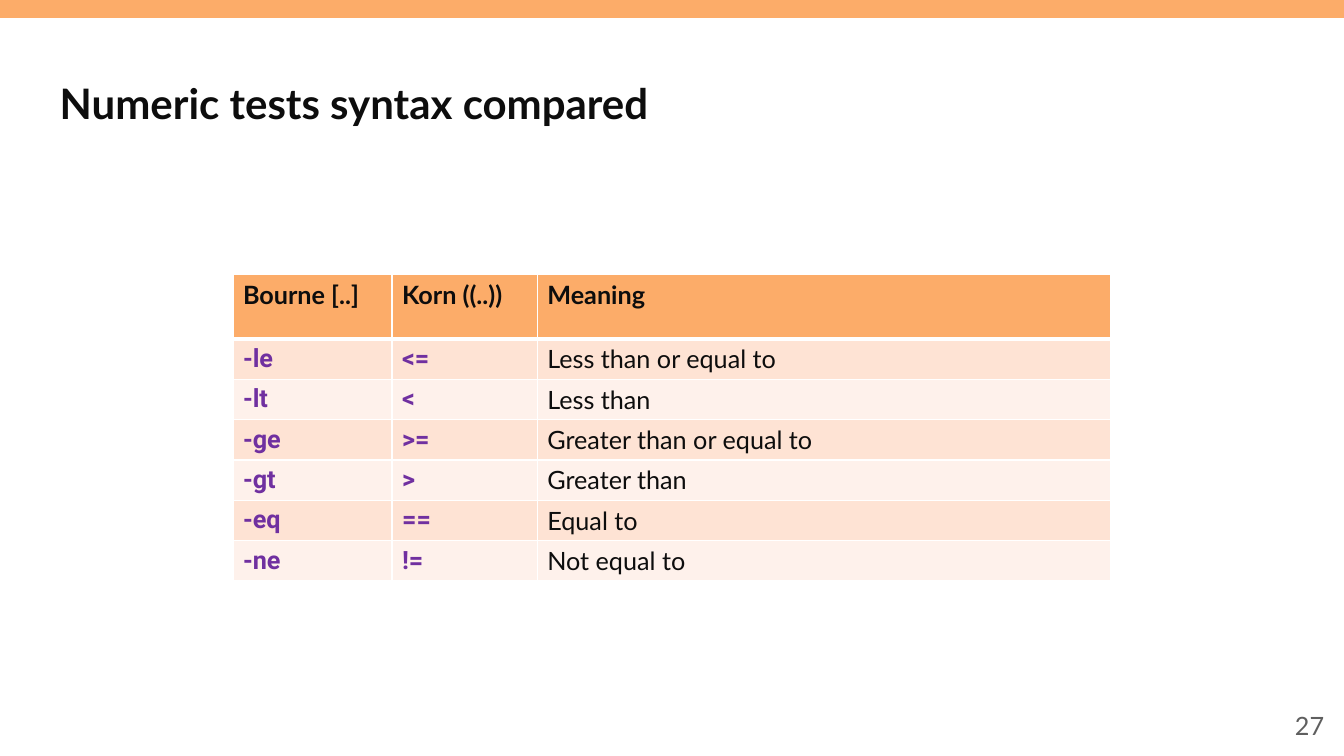
from lxml.etree import SubElement
from pptx import Presentation
from pptx.dml.color import RGBColor
from pptx.enum.shapes import MSO_SHAPE
from pptx.enum.text import MSO_ANCHOR, PP_ALIGN
from pptx.oxml.ns import qn
from pptx.util import Cm, Pt

TITLE = "Numeric tests syntax compared"
PAGE = "27"
ROWS = [
    ("Bourne [..]", "Korn ((..))", "Meaning"),
    ("-le", "<=", "Less than or equal to"),
    ("-lt", "<", "Less than"),
    ("-ge", ">=", "Greater than or equal to"),
    ("-gt", ">", "Greater than"),
    ("-eq", "==", "Equal to"),
    ("-ne", "!=", "Not equal to"),
]
COL_WIDTHS = [4.01, 3.66, 14.45]
HEADER_HEIGHT, ROW_HEIGHT = 1.62, 0.94
ORANGE, BANDS = "FCAC69", ("FEF1EB", "FEE3D4")
INK, PURPLE, GREY, WHITE = "0D0D0D", "7030A0", "5F5F5F", "FFFFFF"


def rgb(value):
    return RGBColor.from_string(value)


def paint(sp, color):
    sp.fill.solid()
    sp.fill.fore_color.rgb = rgb(color)


def write(tf, text, size, color, name="Lato", bold=False, align=PP_ALIGN.LEFT):
    tf.text = text
    p = tf.paragraphs[0]
    p.alignment = align
    font = p.runs[0].font
    font.name, font.size, font.bold = name, Pt(size), bold
    font.color.rgb = rgb(color)


def add_borders(cell, top, bottom):
    tcPr = cell._tc.get_or_add_tcPr()
    for side, width in (("L", 1), ("R", 1), ("T", top), ("B", bottom)):
        ln = SubElement(tcPr, qn("a:ln" + side), w=str(Pt(width)))
        fill = SubElement(ln, qn("a:solidFill"))
        SubElement(fill, qn("a:srgbClr"), val=WHITE)


prs = Presentation()
prs.slide_width, prs.slide_height = Cm(33.87), Cm(19.05)
s = prs.slides.add_slide(prs.slide_layouts[5])

bar = s.shapes.add_shape(MSO_SHAPE.RECTANGLE, 0, 0, prs.slide_width, Cm(0.45))
bar.shadow.inherit = False
bar.line.fill.background()
paint(bar, ORANGE)

title = s.shapes.title
title.left, title.top, title.width, title.height = Cm(1.25), Cm(1.4), Cm(31.4), Cm(2.4)
title.text_frame.vertical_anchor = MSO_ANCHOR.MIDDLE
write(title.text_frame, TITLE, 30, INK, bold=True)

page = s.shapes.add_textbox(Cm(26), Cm(17.78), Cm(7.62), Cm(1.02))
page.text_frame.word_wrap = True
page.text_frame.vertical_anchor = MSO_ANCHOR.MIDDLE
write(page.text_frame, PAGE, 18, GREY, align=PP_ALIGN.RIGHT)

heights = [HEADER_HEIGHT] + [ROW_HEIGHT] * (len(ROWS) - 1)
table = s.shapes.add_table(len(ROWS), len(COL_WIDTHS), Cm(5.87), Cm(6.92),
                           Cm(sum(COL_WIDTHS)), Cm(sum(heights))).table
for column, width in zip(table.columns, COL_WIDTHS):
    column.width = Cm(width)
for i, (row, height) in enumerate(zip(ROWS, heights)):
    table.rows[i].height = Cm(height)
    for j, text in enumerate(row):
        cell = table.cell(i, j)
        header, operator = i == 0, i > 0 and j < 2
        add_borders(cell, 3 if i == 1 else 1, 3 if header else 1)
        paint(cell, ORANGE if header else BANDS[i % 2])
        write(cell.text_frame, text, 18, PURPLE if operator else INK,
              "Roboto" if operator else "Lato", header or operator)

prs.save("out.pptx")
